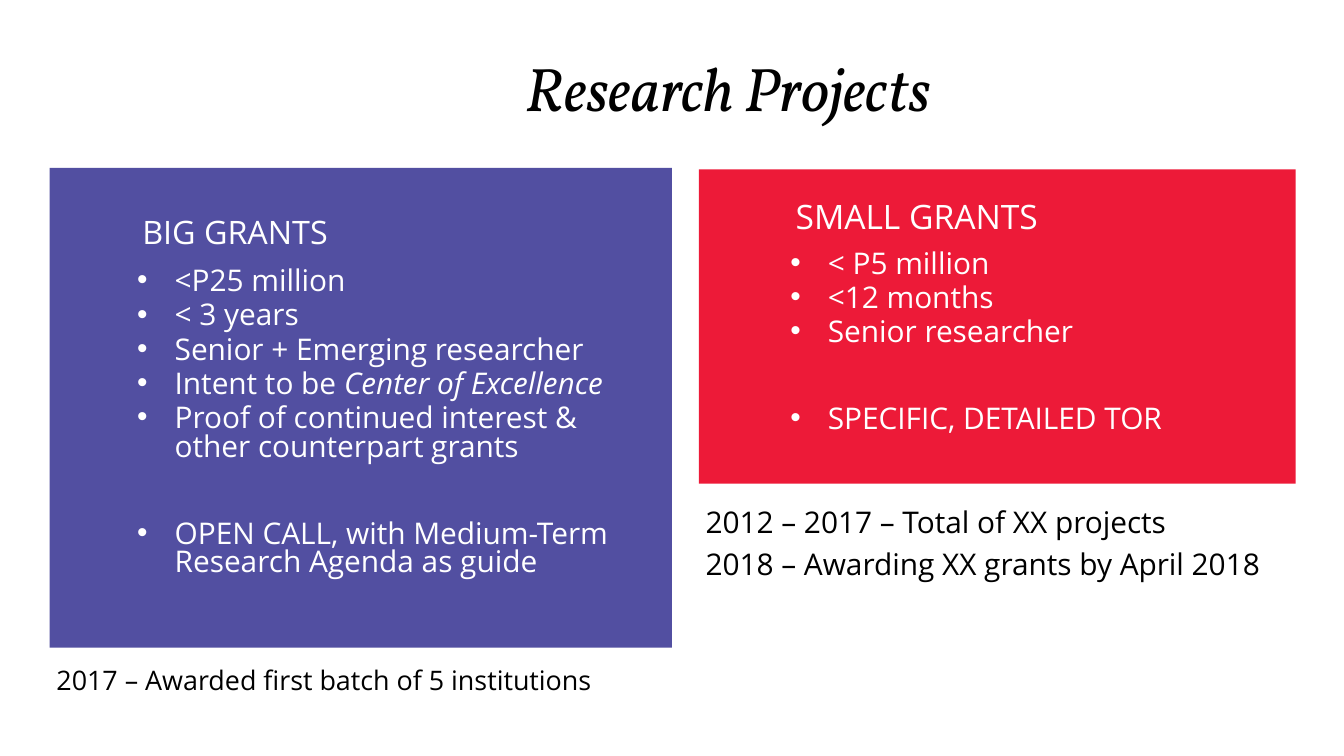
from dataclasses import dataclass

from lxml import etree
from pptx import Presentation
from pptx.dml.color import RGBColor
from pptx.enum.shapes import MSO_SHAPE
from pptx.enum.text import MSO_ANCHOR, MSO_AUTO_SIZE, PP_ALIGN
from pptx.oxml.ns import qn
from pptx.slide import Slide
from pptx.text.text import TextFrame
from pptx.util import Inches, Pt

RECTANGLE = MSO_SHAPE.RECTANGLE
MIDDLE = MSO_ANCHOR.MIDDLE
TOP = MSO_ANCHOR.TOP
NO_AUTOFIT = MSO_AUTO_SIZE.NONE
CENTER = PP_ALIGN.CENTER
LEFT = PP_ALIGN.LEFT

BLACK = RGBColor(0x00, 0x00, 0x00)
WHITE = RGBColor(0xFF, 0xFF, 0xFF)
PURPLE = RGBColor(0x52, 0x4F, 0xA1)
RED = RGBColor(0xED, 0x1A, 0x38)

SLIDE_WIDTH = Inches(10)
SLIDE_HEIGHT = SLIDE_WIDTH * 9 // 16
BODY_FONT = "Open Sans"
TITLE_FONT = "Vollkorn"
INSET = Inches(0.05)
BULLET_INDENT = Inches(0.28)
LINE_SPACING = 0.8
ITEM_GAP = Pt(3)
CALL_GAP = Pt(31)
TWO_CONTENT_LAYOUT = 3


@dataclass(frozen=True)
class Box:
    left: float
    top: float
    width: float
    height: float

    def lengths(self) -> list[Inches]:
        return [Inches(value) for value in (self.left, self.top, self.width, self.height)]


@dataclass(frozen=True)
class TextBlock:
    box: Box
    lines: list[str]
    size: float
    color: RGBColor


@dataclass(frozen=True)
class Grant:
    panel: Box
    color: RGBColor
    heading: TextBlock
    list_box: Box
    items: list[str]
    call: str
    results: TextBlock
    emphasis: str = ""


GRANTS = [
    Grant(
        panel=Box(0.37, 1.25, 4.63, 3.57),
        color=PURPLE,
        heading=TextBlock(Box(1.01, 1.53, 3.43, 0.44), ["BIG GRANTS"], 17.3, WHITE),
        list_box=Box(0.97, 1.95, 3.62, 2.71),
        items=[
            "<P25 million",
            "< 3 years",
            "Senior + Emerging researcher",
            "Intent to be Center of Excellence",
            "Proof of continued interest & other counterpart grants",
        ],
        call="OPEN CALL, with Medium-Term Research Agenda as guide",
        results=TextBlock(
            Box(0.37, 4.89, 4.4, 0.42),
            ["2017 – Awarded first batch of 5 institutions"],
            14.4,
            BLACK,
        ),
        emphasis="Center of Excellence",
    ),
    Grant(
        panel=Box(5.2, 1.26, 4.44, 2.34),
        color=RED,
        heading=TextBlock(Box(5.87, 1.41, 3.74, 0.48), ["SMALL GRANTS"], 18, WHITE),
        list_box=Box(5.83, 1.82, 3.6, 1.62),
        items=["< P5 million", "<12 months", "Senior researcher"],
        call="SPECIFIC, DETAILED TOR",
        results=TextBlock(
            Box(5.2, 3.7, 4.75, 0.76),
            [
                "2012 – 2017 – Total of XX projects",
                "2018 – Awarding XX grants by April 2018",
            ],
            16,
            BLACK,
        ),
    ),
]


def place(shape, box: Box) -> None:
    shape.left, shape.top, shape.width, shape.height = box.lengths()


def prepare_frame(frame: TextFrame, anchor: MSO_ANCHOR = TOP) -> None:
    frame.word_wrap = True
    frame.auto_size = NO_AUTOFIT
    frame.vertical_anchor = anchor
    frame.margin_left = frame.margin_right = INSET
    frame.margin_top = frame.margin_bottom = INSET


def format_font(font, name: str, size: float, color: RGBColor) -> None:
    font.name = name
    font.size = Pt(size)
    font.color.rgb = color


def add_title(slide: Slide, text: str) -> None:
    title = slide.shapes.title
    place(title, Box(0.92, 0.23, 9, 0.94))
    prepare_frame(title.text_frame, MIDDLE)
    title.text_frame.text = text
    paragraph = title.text_frame.paragraphs[0]
    paragraph.alignment = CENTER
    paragraph.line_spacing = LINE_SPACING
    font = paragraph.runs[0].font
    format_font(font, TITLE_FONT, 33, BLACK)
    font.italic = True


def add_panel(slide: Slide, grant: Grant) -> None:
    panel = slide.shapes.add_shape(RECTANGLE, *grant.panel.lengths())
    panel.shadow.inherit = False
    panel.fill.solid()
    panel.fill.fore_color.rgb = grant.color
    panel.line.fill.background()
    title_element = slide.shapes.title.element
    title_element.addprevious(panel.element)


def add_text(slide: Slide, block: TextBlock) -> None:
    frame = slide.shapes.add_textbox(*block.box.lengths()).text_frame
    prepare_frame(frame)
    frame.text = "\n".join(block.lines)
    for index, paragraph in enumerate(frame.paragraphs):
        paragraph.space_before = ITEM_GAP if index else Pt(0)
        format_font(paragraph.runs[0].font, BODY_FONT, block.size, block.color)


def add_bullet(paragraph) -> None:
    properties = paragraph._p.get_or_add_pPr()
    properties.set("marL", str(BULLET_INDENT))
    properties.set("indent", str(-BULLET_INDENT))
    etree.SubElement(properties, qn("a:buFont"), typeface="Arial")
    etree.SubElement(properties, qn("a:buChar"), char="•")


def fill_list(placeholder, grant: Grant) -> None:
    place(placeholder, grant.list_box)
    frame = placeholder.text_frame
    prepare_frame(frame)
    frame.text = "\n".join([*grant.items, grant.call])
    last = len(grant.items)
    for index, paragraph in enumerate(frame.paragraphs):
        add_bullet(paragraph)
        paragraph.alignment = LEFT
        paragraph.line_spacing = LINE_SPACING
        paragraph.space_before = CALL_GAP if index == last else ITEM_GAP if index else Pt(0)
        if grant.emphasis and paragraph.text.endswith(grant.emphasis):
            paragraph.runs[0].text = paragraph.text.removesuffix(grant.emphasis)
            emphasized = paragraph.add_run()
            emphasized.text = grant.emphasis
            emphasized.font.italic = True
        for run in paragraph.runs:
            format_font(run.font, BODY_FONT, 16, WHITE)


def main() -> None:
    presentation = Presentation()
    presentation.slide_width = SLIDE_WIDTH
    presentation.slide_height = SLIDE_HEIGHT
    slide = presentation.slides.add_slide(presentation.slide_layouts[TWO_CONTENT_LAYOUT])
    add_title(slide, "Research Projects")
    for index, grant in enumerate(GRANTS, start=1):
        add_panel(slide, grant)
        fill_list(slide.placeholders[index], grant)
        add_text(slide, grant.heading)
        add_text(slide, grant.results)
    presentation.save("out.pptx")


if __name__ == "__main__":
    main()
